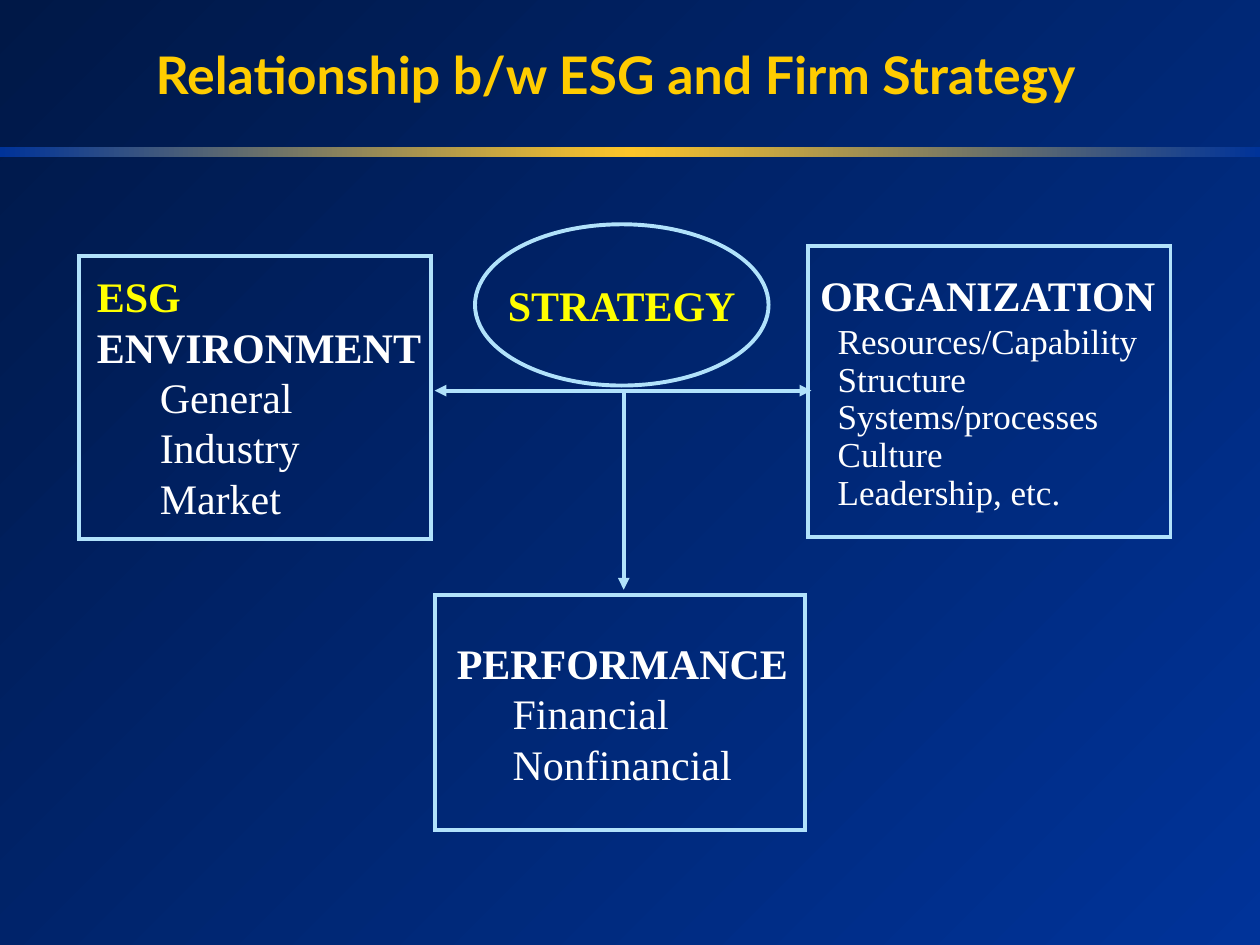
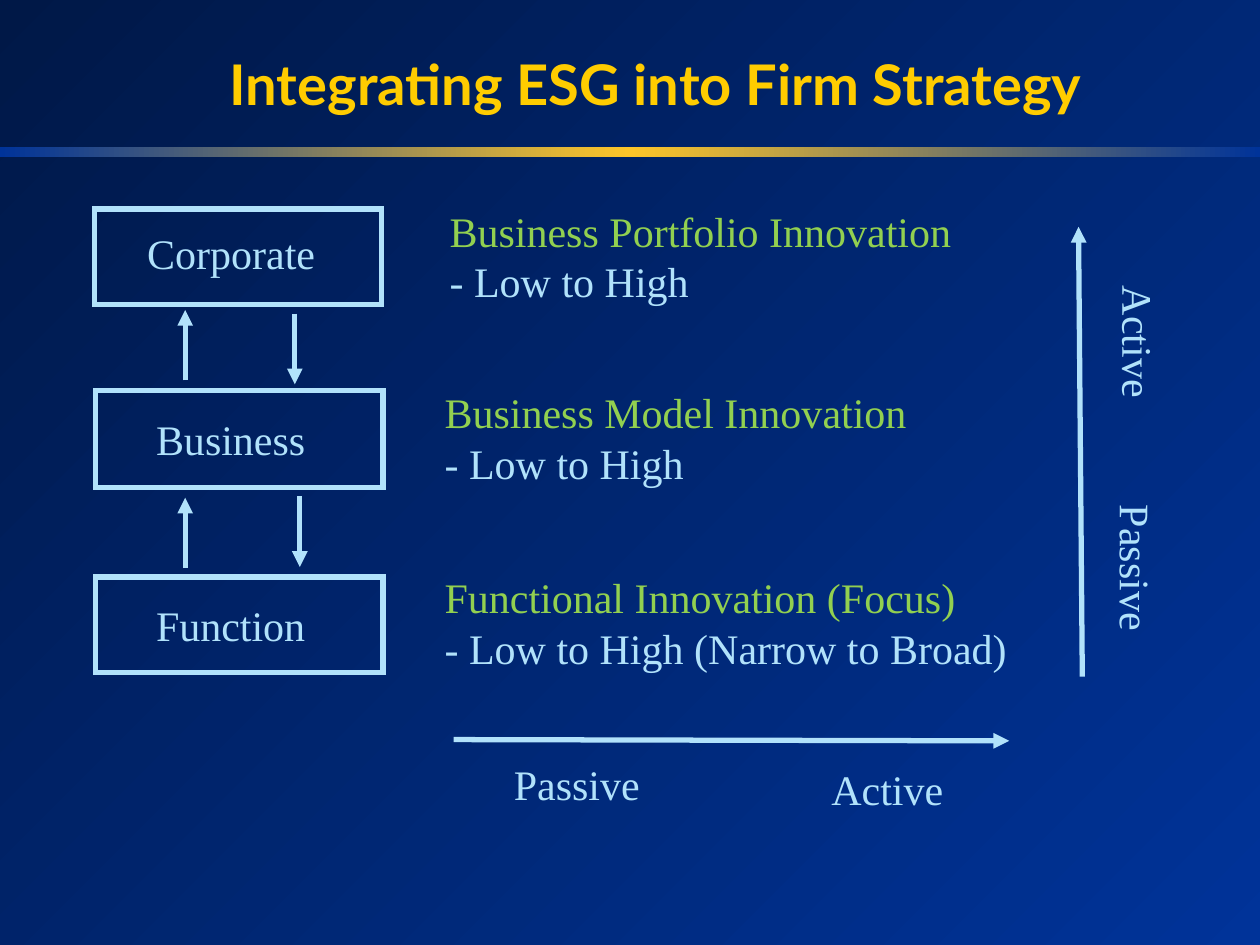
from copy import deepcopy
from dataclasses import dataclass

from lxml import etree
from pptx import Presentation
from pptx.dml.color import RGBColor
from pptx.enum.shapes import MSO_CONNECTOR, MSO_SHAPE
from pptx.enum.text import MSO_ANCHOR, PP_ALIGN
from pptx.oxml.ns import qn
from pptx.util import Inches, Pt


@dataclass(frozen=True)
class Theme:
    navy: str = "001847"
    blue: str = "003399"
    amber: str = "FDC529"
    gold: str = "FFCC00"
    sky: str = "B1E2FB"
    white: str = "FFFFFF"
    yellow: str = "FFFF00"
    green: str = "92D050"
    title_font: str = "Lato"
    body_font: str = "Times New Roman"
    body_size: float = 24
    list_size: float = 20
    thin: float = 2.25
    thick: float = 3


THEME = Theme()


# Shared helpers
def set_gradient(fill, element, colors, angle):
    """Spread the colours evenly over a linear gradient."""
    fill.gradient()
    fill.gradient_angle = angle
    stop_list = element.find(".//" + qn("a:gsLst"))
    for _ in colors[2:]:
        stop_list.append(deepcopy(stop_list[-1]))
    for index, (stop, color) in enumerate(zip(fill.gradient_stops, colors)):
        stop.position = index / (len(colors) - 1)
        stop.color.rgb = RGBColor.from_string(color)


def style_line(line, width):
    line.color.rgb = RGBColor.from_string(THEME.sky)
    line.width = Pt(width)


def add_outline(page, box, width, shape_type=MSO_SHAPE.RECTANGLE):
    """Unfilled shape with square corners."""
    shape = page.shapes.add_shape(shape_type, *map(Inches, box))
    shape.shadow.inherit = False
    shape.fill.background()
    style_line(shape.line, width)
    etree.SubElement(shape.line._get_or_add_ln(), qn("a:miter"), lim="800000")
    return shape


def add_arrow(page, start, end, width, both_ends=False):
    arrow = page.shapes.add_connector(
        MSO_CONNECTOR.STRAIGHT, *map(Inches, (*start, *end)))
    style_line(arrow.line, width)
    line_xml = arrow.line._get_or_add_ln()
    for tag in ("a:headEnd", "a:tailEnd") if both_ends else ("a:tailEnd",):
        etree.SubElement(line_xml, qn(tag), type="triangle")
    etree.SubElement(arrow._element.spPr, qn("a:effectLst"))


def write_para(frame, text, *, first=False, color=THEME.white,
               size=THEME.body_size, font=THEME.body_font, bold=False,
               align=PP_ALIGN.LEFT, indent=0, spacing=1.0):
    """Write one paragraph; text is a string or (string, colour) pairs."""
    para = frame.paragraphs[0] if first else frame.add_paragraph()
    para.alignment = align
    para.line_spacing = spacing
    if indent:
        para._p.get_or_add_pPr().set("marL", str(Inches(indent)))
    for words, shade in [(text, color)] if isinstance(text, str) else text:
        span = para.add_run()
        span.text = words
        span.font.name = font
        span.font.size = Pt(size)
        span.font.bold = bold
        span.font.color.rgb = RGBColor.from_string(shade)


def add_text(page, box, text, *, anchor=MSO_ANCHOR.TOP, rotation=0, **style):
    text_box = page.shapes.add_textbox(*map(Inches, box))
    text_box.rotation = rotation
    frame = text_box.text_frame
    frame.word_wrap = True
    frame.vertical_anchor = anchor
    write_para(frame, text, first=True, **style)
    return frame


def add_page(deck, title, box, size, spacing=1.0):
    """Blank page with the shared background, band and title."""
    page = deck.slides.add_slide(deck.slide_layouts[6])
    set_gradient(page.background.fill, page.element,
                 (THEME.navy, THEME.blue), 315)
    band = page.shapes.add_shape(
        MSO_SHAPE.RECTANGLE, *map(Inches, (0, 1.17, 10, 0.08)))
    band.shadow.inherit = False
    band.line.fill.background()
    set_gradient(band.fill, band._element,
                 (THEME.blue, THEME.amber, THEME.blue), 0)
    add_text(page, box, title, anchor=MSO_ANCHOR.MIDDLE, size=size,
             color=THEME.gold, font=THEME.title_font, bold=True,
             align=PP_ALIGN.CENTER, spacing=spacing)
    return page


# Relationship page
def draw_factor(page, box, text_offset, text_size, heading, items, *,
                heading_style=None, **item_style):
    """Outlined box with a bold heading and an indented list."""
    add_outline(page, box, THEME.thin)
    left, top = (edge + shift for edge, shift in zip(box, text_offset))
    frame = add_text(page, (left, top, *text_size), heading, bold=True,
                     **(heading_style or {}))
    for item in items:
        write_para(frame, item, **item_style)
    return frame


def draw_strategy(page, box):
    ellipse = add_outline(page, box, THEME.thin, MSO_SHAPE.OVAL)
    frame = ellipse.text_frame
    frame.word_wrap = False
    frame.vertical_anchor = MSO_ANCHOR.MIDDLE
    write_para(frame, "STRATEGY", first=True, color=THEME.yellow,
               bold=True, align=PP_ALIGN.CENTER)


def build_relationship(deck):
    page = add_page(deck, "Relationship b/w ESG and Firm Strategy",
                    (0.53, 0.31, 8.72, 0.62), 29.6, spacing=0.9)
    # Organization
    frame = draw_factor(
        page, (6.41, 1.95, 2.88, 2.31), (-0.07, 0.14), (2.96, 2.3),
        "ORGANIZATION",
        ("Resources/Capability", "Structure", "Systems/processes",
         "Culture", "Leadership, etc."),
        heading_style={"indent": 0.07},
        size=THEME.list_size, indent=0.21, spacing=0.9)
    frame.paragraphs[1].line_spacing = 1.0
    # Environment
    draw_factor(
        page, (0.63, 2.03, 2.79, 2.25), (0.04, 0.07), (2.94, 2.1),
        (("ESG ", THEME.yellow), ("ENVIRONMENT", THEME.white)),
        ("General", "Industry", "Market"), indent=0.5)
    # Performance
    draw_factor(
        page, (3.45, 4.72, 2.94, 1.87), (0.02, 0.29), (2.94, 1.3),
        "PERFORMANCE", ("Financial", "Nonfinancial"),
        heading_style={"align": PP_ALIGN.CENTER}, indent=0.5)
    # Links between the factors
    add_arrow(page, (3.45, 3.1), (6.44, 3.1), THEME.thin, both_ends=True)
    add_arrow(page, (4.95, 3.1), (4.95, 4.68), THEME.thin)
    draw_strategy(page, (3.77, 1.78, 2.33, 1.28))


# Integration page
def draw_level(page, box, name, name_offset, innovation, innovation_offset,
               degree):
    """Boxed level name with its innovation beside it."""
    left, top = box[:2]
    add_outline(page, box, THEME.thick)
    add_text(page, (left + name_offset[0], top + name_offset[1], 1.7, 0.5),
             name, color=THEME.sky)
    frame = add_text(
        page, (left + innovation_offset[0], top + innovation_offset[1],
               4.78, 0.9),
        innovation, color=THEME.green)
    write_para(frame, degree, color=THEME.sky)


def draw_exchange(page, left, up_top, down_top, gap):
    """Upward and downward arrows between two levels."""
    length = 0.56
    add_arrow(page, (left, up_top + length), (left, up_top), THEME.thick)
    add_arrow(page, (left + gap, down_top), (left + gap, down_top + length),
              THEME.thick)


def draw_axis(page, start, end, labels, rotation=0):
    """Arrow with its labels, given as (text, box)."""
    add_arrow(page, start, end, THEME.thick)
    for text, box in labels:
        add_text(page, box, text, color=THEME.sky, rotation=rotation)


def build_integration(deck):
    page = add_page(deck, "Integrating ESG into Firm Strategy",
                    (1.08, 0.35, 8.25, 0.62), 32)
    # Strategy levels
    draw_level(page, (0.75, 1.66, 2.28, 0.76), "Corporate", (0.32, 0.1),
               "Business Portfolio Innovation", (2.72, -0.08),
               "- Low to High")
    draw_level(page, (0.76, 3.1, 2.28, 0.77), "Business", (0.38, 0.13),
               "Business Model Innovation", (2.67, -0.08), "- Low to High")
    draw_level(page, (0.76, 4.58, 2.28, 0.76), "Function", (0.38, 0.13),
               "Functional Innovation (Focus)", (2.67, -0.09),
               "- Low to High (Narrow to Broad)")
    draw_exchange(page, 1.47, 2.46, 2.49, gap=0.87)
    draw_exchange(page, 1.47, 3.95, 3.94, gap=0.91)
    # Passive to active axes
    draw_axis(page, (3.6, 5.87), (8.01, 5.88),
              (("Passive", (3.98, 5.97, 1.26, 0.5)),
               ("Active", (6.5, 6.01, 1.18, 0.5))))
    draw_axis(page, (8.59, 5.37), (8.56, 1.8),
              (("Passive", (8.39, 4.29, 1.26, 0.5)),
               ("Active", (8.45, 2.51, 1.18, 0.5))), rotation=90)


def main():
    deck = Presentation()
    deck.slide_width, deck.slide_height = Inches(10), Inches(7.5)
    build_relationship(deck)
    build_integration(deck)
    deck.save("out.pptx")


if __name__ == "__main__":
    main()
